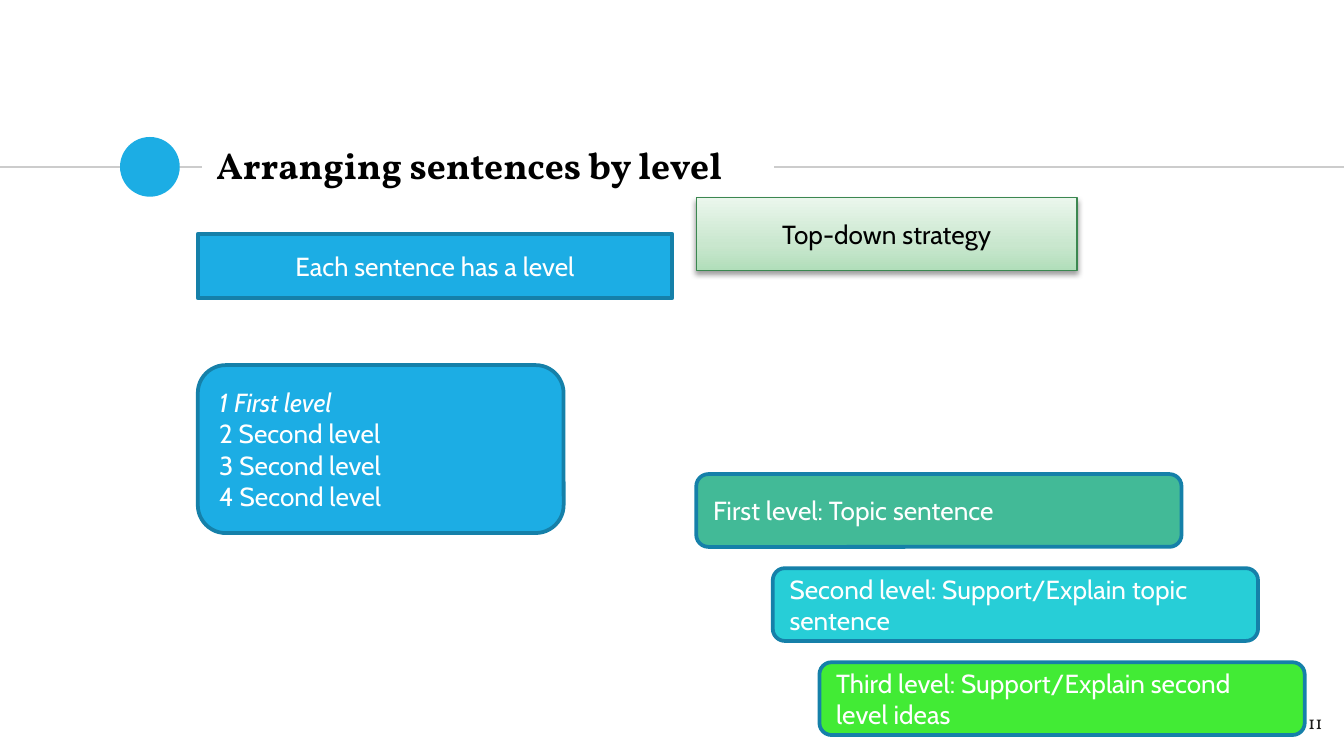
from dataclasses import dataclass
from typing import NamedTuple

from lxml import etree
from pptx import Presentation
from pptx.dml.color import RGBColor
from pptx.enum.shapes import MSO_CONNECTOR, MSO_SHAPE
from pptx.enum.text import MSO_ANCHOR, MSO_AUTO_SIZE, PP_ALIGN
from pptx.oxml.ns import qn
from pptx.util import Pt

LEFT, CENTER, RIGHT = PP_ALIGN.LEFT, PP_ALIGN.CENTER, PP_ALIGN.RIGHT
TOP, MIDDLE = MSO_ANCHOR.TOP, MSO_ANCHOR.MIDDLE
RECTANGLE, ROUNDED, OVAL = MSO_SHAPE.RECTANGLE, MSO_SHAPE.ROUNDED_RECTANGLE, MSO_SHAPE.OVAL
STRAIGHT = MSO_CONNECTOR.STRAIGHT
NO_AUTOFIT = MSO_AUTO_SIZE.NONE
TITLE_ONLY = 5


@dataclass(frozen=True)
class Theme:
    heading_font: str = "Vollkorn"
    body_font: str = "Cabin"
    title_size: float = 20
    body_size: float = 14
    number_size: float = 10
    black: str = "000000"
    white: str = "FFFFFF"
    ink: str = "1D1D1B"
    rule: str = "CCCCCC"
    blue: str = "1CADE4"
    border: str = "1580A9"
    teal: str = "42BA97"
    cyan: str = "27CED7"
    lime: str = "42EB35"
    strategy_border: str = "3B8750"
    strategy_stops: tuple = ((0, "B1DEBA"), (35, "C9E7CE"), (100, "EAF6EC"))


class Area(NamedTuple):
    left: float
    top: float
    width: float
    height: float

    def lengths(self):
        return [Pt(value) for value in self]


@dataclass(frozen=True)
class Box:
    area: Area
    lines: tuple
    fill: str
    shape: int = ROUNDED
    align: int = LEFT
    color: str = "FFFFFF"
    border: str = "1580A9"
    border_width: float = 2
    italic_lines: tuple = ()


THEME = Theme()
AXIS = 89.4
LEVEL_SIZE = (260, 39)
LEVEL_TOP, LEVEL_STEP = 254, 50.4
LEVELS = (
    (373, "First level: Topic sentence", THEME.teal),
    (414, "Second level: Support/Explain topic sentence", THEME.cyan),
    (439, "Third level: Support/Explain second level ideas", THEME.lime),
)
BOXES = [
    Box(Area(106, 125.3, 254.2, 34.5), ("Each sentence has a level",), THEME.blue,
        shape=RECTANGLE, align=CENTER),
    Box(Area(106, 195.6, 196, 90),
        ("1 First level", "2 Second level", "3 Second level", "4 Second level"),
        THEME.blue, italic_lines=(0,)),
    *(Box(Area(left, LEVEL_TOP + index * LEVEL_STEP, *LEVEL_SIZE), (text,), fill)
      for index, (left, text, fill) in enumerate(LEVELS)),
]
STRATEGY = Box(Area(373, 106, 204, 39), ("Top-down strategy",), THEME.strategy_stops[0][1],
               shape=RECTANGLE, align=CENTER, color=THEME.black,
               border=THEME.strategy_border, border_width=0.75)


def rgb(value: str) -> RGBColor:
    return RGBColor.from_string(value)


def write_line(para, text: str, *, font: str, size: float, color: str,
               align=LEFT, bold=False, italic=False) -> None:
    para.alignment = align
    span = para.add_run()
    span.text = text
    span.font.name = font
    span.font.size = Pt(size)
    span.font.color.rgb = rgb(color)
    span.font.bold = bold
    span.font.italic = italic


def prepare_frame(frame, anchor, inset: float | None = None) -> None:
    frame.word_wrap = True
    frame.auto_size = NO_AUTOFIT
    frame.vertical_anchor = anchor
    if inset is not None:
        frame.margin_left = frame.margin_right = Pt(inset)
        frame.margin_top = frame.margin_bottom = Pt(inset)


def draw_rule(page, start: float, end: float) -> None:
    rule = page.shapes.add_connector(STRAIGHT, Pt(start), Pt(AXIS), Pt(end), Pt(AXIS))
    rule.line.color.rgb = rgb(THEME.rule)
    rule.line.width = Pt(0.75)
    etree.SubElement(rule.element.spPr, qn("a:effectLst"))


def draw_dot(page, area: Area) -> None:
    dot = page.shapes.add_shape(OVAL, *area.lengths())
    dot.shadow.inherit = False
    dot.fill.solid()
    dot.fill.fore_color.rgb = rgb(THEME.blue)
    dot.line.fill.background()


def draw_box(page, box: Box):
    shape = page.shapes.add_shape(box.shape, *box.area.lengths())
    shape.shadow.inherit = False
    shape.fill.solid()
    shape.fill.fore_color.rgb = rgb(box.fill)
    shape.line.color.rgb = rgb(box.border)
    shape.line.width = Pt(box.border_width)
    frame = shape.text_frame
    prepare_frame(frame, MIDDLE)
    for index, text in enumerate(box.lines):
        para = frame.add_paragraph() if index else frame.paragraphs[0]
        write_line(para, text, font=THEME.body_font, size=THEME.body_size,
                   color=box.color, align=box.align, italic=index in box.italic_lines)
    return shape


def add_gradient(shape, stops: tuple, angle: float) -> None:
    shape.fill.gradient()
    shape.fill.gradient_angle = angle
    stop_list = shape.element.spPr.find(qn("a:gradFill")).find(qn("a:gsLst"))
    for stop in list(stop_list):
        stop_list.remove(stop)
    for position, color in stops:
        stop = etree.SubElement(stop_list, qn("a:gs"), pos=str(position * 1000))
        etree.SubElement(stop, qn("a:srgbClr"), val=color)


def add_shadow(shape, blur: float, distance: float, opacity: int) -> None:
    effects = shape.element.spPr.find(qn("a:effectLst"))
    shadow = etree.SubElement(effects, qn("a:outerShdw"), blurRad=str(Pt(blur)),
                              dist=str(Pt(distance)), dir="5400000", rotWithShape="0")
    color = etree.SubElement(shadow, qn("a:srgbClr"), val=THEME.black)
    etree.SubElement(color, qn("a:alpha"), val=str(opacity * 1000))


def write_title(page, area: Area, text: str) -> None:
    title = page.shapes.title
    title.left, title.top, title.width, title.height = area.lengths()
    prepare_frame(title.text_frame, MIDDLE, 7.2)
    write_line(title.text_frame.paragraphs[0], text, font=THEME.heading_font,
               size=THEME.title_size, color=THEME.black, bold=True)


def write_page_number(page, area: Area, text: str) -> None:
    frame = page.shapes.add_textbox(*area.lengths()).text_frame
    prepare_frame(frame, TOP, 7.2)
    write_line(frame.paragraphs[0], text, font=THEME.heading_font,
               size=THEME.number_size, color=THEME.ink, align=RIGHT)


def main() -> None:
    deck = Presentation()
    deck.slide_width, deck.slide_height = Pt(720), Pt(405)
    page = deck.slides.add_slide(deck.slide_layouts[TITLE_ONLY])
    draw_rule(page, 0, 108)
    draw_dot(page, Area(64.3, 73.4, 32, 32))
    draw_rule(page, 414.7, 720)
    write_title(page, Area(108.7, 70.6, 305.3, 34.6), "Arranging sentences by level")
    write_page_number(page, Area(672.5, 373.7, 43.2, 31), "11")
    for box in BOXES:
        draw_box(page, box)
    strategy = draw_box(page, STRATEGY)
    add_gradient(strategy, THEME.strategy_stops, 90)
    add_shadow(strategy, 3.1, 1.6, 38)
    deck.save("out.pptx")


if __name__ == "__main__":
    main()
